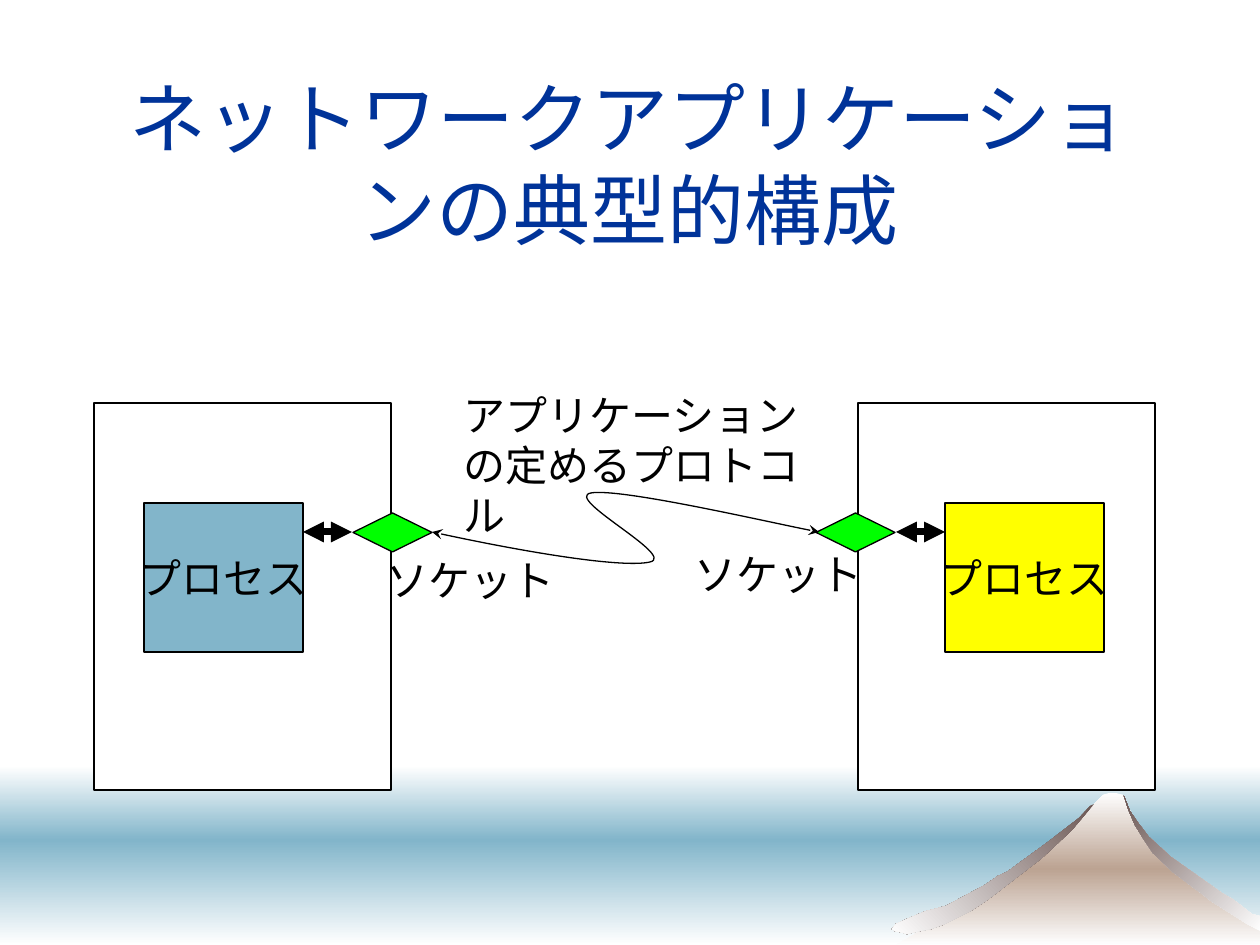
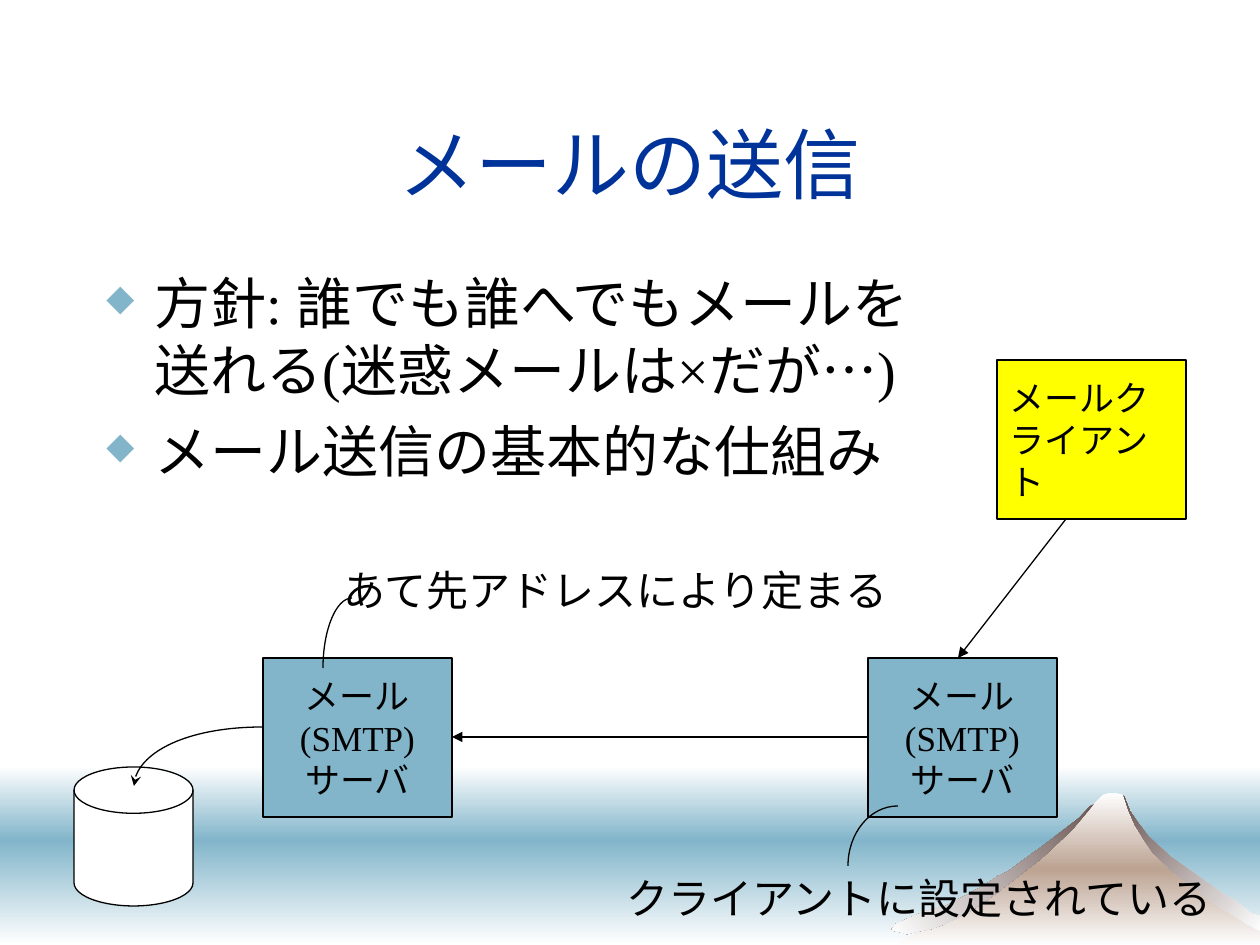
from lxml.etree import SubElement
from pptx import Presentation
from pptx.dml.color import RGBColor
from pptx.enum.shapes import MSO_CONNECTOR, MSO_SHAPE
from pptx.enum.text import MSO_ANCHOR, MSO_AUTO_SIZE, PP_ALIGN
from pptx.oxml.ns import qn
from pptx.util import Emu, Pt

# Shared measures, colours and fonts
WIDTH, HEIGHT = 1260, 945
SCALE = 914400 / 126
WHITE, BLACK, BLUE = "FFFFFF", "000000", "82B5CA"
YELLOW, GREEN, TITLE_BLUE = "FFFF00", "00FF00", "003399"
SNOW, EARTH, ROCK = "FEFEFE", "BCA392", "6B5653"
SANS, SERIF = "Arial", "Times New Roman"
THIN, THICK = 0.74, 4

# Outlines of the mountain
MOUNTAIN = [
    (896, 945), (995, 888), (1058, 839), (1095, 803), (1103, 795), (1109, 793),
    (1116, 793), (1123, 795), (1138, 828), (1162, 857), (1220, 897), (1260, 924),
    (1260, 945)]
RIGHT_FLANK = [
    (1153, 853), (1173, 872), (1194, 888), (1201, 893), (1211, 901), (1247, 924),
    (1260, 931), (1260, 916), (1252, 914), (1234, 900), (1222, 893), (1171, 857),
    (1149, 837), (1139, 824), (1130, 811), (1124, 796), (1129, 811), (1135, 825),
    (1143, 838)]
LEFT_FLANK = [
    (1048, 842), (1007, 872), (998, 876), (985, 885), (946, 906), (926, 911),
    (907, 919), (896, 924), (892, 929), (895, 931), (900, 932), (907, 934),
    (920, 931), (931, 929), (945, 924), (969, 912), (983, 903), (990, 898),
    (1042, 858), (1072, 830), (1089, 810), (1094, 804), (1090, 806), (1079, 818)]


def px(length):
    return Emu(round(length * SCALE))


def color(value):
    return RGBColor.from_string(value)


# Fills, outlines and arrowheads
def set_gradient(shape, colors, angle):
    shape.fill.background()
    properties = shape._element.spPr
    placeholder_fill = properties.find(qn("a:noFill"))
    gradient = SubElement(properties, qn("a:gradFill"), rotWithShape="1")
    stops = SubElement(gradient, qn("a:gsLst"))
    for index, value in enumerate(colors):
        position = 100000 * index // (len(colors) - 1)
        stop = SubElement(stops, qn("a:gs"), pos=str(position))
        SubElement(stop, qn("a:srgbClr"), val=value)
    SubElement(gradient, qn("a:lin"), ang=str(angle * 60000), scaled="0")
    properties.replace(placeholder_fill, gradient)


def set_line(shape, width=THIN, head=None, tail=None):
    shape.line.color.rgb = color(BLACK)
    shape.line.width = Pt(width)
    line = shape._element.spPr.find(qn("a:ln"))
    for tag, kind in (("a:headEnd", head), ("a:tailEnd", tail)):
        if kind:
            SubElement(line, qn(tag), type=kind)


# Text
def add_run(paragraph, text, size, font=SANS, value=BLACK):
    run = paragraph.add_run()
    run.text = text
    run.font.size = Pt(size)
    run.font.name = font
    run.font.color.rgb = color(value)


def add_text_box(slide, box, wrap=True):
    frame = slide.shapes.add_textbox(*map(px, box)).text_frame
    frame.word_wrap = wrap
    return frame


def add_title(slide, text):
    frame = add_text_box(slide, (94, 84, 1071, 158))
    frame.vertical_anchor = MSO_ANCHOR.MIDDLE
    paragraph = frame.paragraphs[0]
    paragraph.alignment = PP_ALIGN.CENTER
    add_run(paragraph, text, 44, SERIF, TITLE_BLUE)


def add_label(slide, text, box, wrap=False):
    frame = add_text_box(slide, box, wrap)
    frame.auto_size = MSO_AUTO_SIZE.SHAPE_TO_FIT_TEXT
    add_run(frame.paragraphs[0], text, 24)


def add_bullets(slide, texts, box):
    frame = add_text_box(slide, box)
    for index, text in enumerate(texts):
        paragraph = frame.add_paragraph() if index else frame.paragraphs[0]
        paragraph.space_before = Pt(8)
        properties = paragraph._p.get_or_add_pPr()
        properties.set("marL", str(px(48)))
        properties.set("indent", str(px(-48)))
        bullet_color = SubElement(properties, qn("a:buClr"))
        SubElement(bullet_color, qn("a:srgbClr"), val=BLUE)
        SubElement(properties, qn("a:buSzPct"), val="65000")
        SubElement(properties, qn("a:buChar"), char="◆")
        add_run(paragraph, text, 32, SERIF)


# Shapes
def add_plain_shape(slide, kind, box):
    shape = slide.shapes.add_shape(kind, *map(px, box))
    shape.shadow.inherit = False
    return shape


def add_box(slide, box, fill, kind=MSO_SHAPE.RECTANGLE):
    shape = add_plain_shape(slide, kind, box)
    shape.fill.solid()
    shape.fill.fore_color.rgb = color(fill)
    set_line(shape)
    return shape


def add_text_shape(slide, box, fill, runs, size, align=PP_ALIGN.CENTER, wrap=True):
    frame = add_box(slide, box, fill).text_frame
    frame.word_wrap = wrap
    frame.vertical_anchor = MSO_ANCHOR.MIDDLE
    paragraph = frame.paragraphs[0]
    paragraph.alignment = align
    for text, font in runs:
        add_run(paragraph, text, size, font)


def add_outline(slide, points, close):
    builder = slide.shapes.build_freeform(*points[0], scale=SCALE)
    builder.add_line_segments(points[1:], close=close)
    shape = builder.convert_to_shape()
    shape.shadow.inherit = False
    return shape


def add_curve(slide, points, head=None, tail=None):
    """Draw cubic curves: a start, then two controls and an end for each."""
    shape = add_outline(slide, points, close=False)
    segments = list(shape._element.iter(qn("a:lnTo")))
    for first in range(0, len(segments), 3):
        curve = segments[first]
        cubic = curve.makeelement(qn("a:cubicBezTo"))
        curve.addprevious(cubic)
        for segment in segments[first:first + 3]:
            cubic.append(segment[0])
            segment.getparent().remove(segment)
    shape.fill.background()
    set_line(shape, head=head, tail=tail)


def add_quarter_arc(slide, start, end, tail=None):
    (left, top), (right, bottom) = start, end
    first_control = (round(left + 0.55 * (right - left)), top)
    second_control = (right, round(bottom - 0.55 * (bottom - top)))
    add_curve(slide, [start, first_control, second_control, end], tail=tail)


def add_arrow(slide, start, end, width=THIN, head=None):
    arrow = slide.shapes.add_connector(
        MSO_CONNECTOR.STRAIGHT, *map(px, start + end))
    set_line(arrow, width, head, "triangle")
    SubElement(arrow._element.spPr, qn("a:effectLst"))


# Scenery and title shared by both slides
def add_scenery(slide):
    for top, bottom, colors in ((766, 840, (WHITE, BLUE)),
                                (840, HEIGHT, (BLUE, WHITE))):
        band = add_plain_shape(
            slide, MSO_SHAPE.RECTANGLE, (0, top, WIDTH, bottom - top))
        set_gradient(band, colors, 90)
        band.line.fill.background()
    for points, colors, angle in ((MOUNTAIN, (SNOW, EARTH, SNOW), 90),
                                  (RIGHT_FLANK, (SNOW, ROCK), 225),
                                  (LEFT_FLANK, (ROCK, SNOW), 135)):
        outline = add_outline(slide, points, close=True)
        set_gradient(outline, colors, angle)
        outline.line.fill.background()


def add_slide(presentation, title):
    slide = presentation.slides.add_slide(presentation.slide_layouts[6])
    add_scenery(slide)
    add_title(slide, title)
    return slide


# Slide 1: two hosts talking through sockets
def add_host(slide, host_left, process_left, fill, socket_left, arrow_left, label_at):
    add_box(slide, (host_left, 403, 297, 387), WHITE)
    add_text_shape(slide, (process_left, 503, 159, 149), fill,
                   [("プロセス", SANS)], 24, wrap=False)
    add_arrow(slide, (arrow_left, 532), (arrow_left + 49, 532), THICK, "triangle")
    add_box(slide, (socket_left, 513, 79, 39), GREEN, MSO_SHAPE.DIAMOND)
    add_label(slide, "ソケット", label_at + (193, 63))


def build_network_slide(presentation):
    slide = add_slide(presentation, "ネットワークアプリケーションの典型的構成")
    add_host(slide, 94, 144, BLUE, 353, 303, (374, 548))
    add_host(slide, 858, 945, YELLOW, 816, 896, (682, 542))
    add_curve(slide, [(819, 532), (781, 525), (620, 488), (591, 493),
                      (563, 498), (677, 556), (650, 562),
                      (624, 568), (528, 553), (432, 532)], "stealth", "stealth")
    add_label(slide, "アプリケーションの定めるプロトコル", (451, 383, 367, 164), wrap=True)


# Slide 2: the way of a mail
def build_mail_slide(presentation):
    slide = add_slide(presentation, "メールの送信")
    add_bullets(slide, ["方針: 誰でも誰へでもメールを送れる(迷惑メールは×だが…)",
                        "メール送信の基本的な仕組み"], (94, 262, 873, 567))
    for left in (263, 868):
        add_text_shape(slide, (left, 658, 189, 159), BLUE,
                       [("メール", SANS), ("(SMTP)", SERIF), ("サーバ", SANS)], 20)
    add_text_shape(slide, (997, 360, 189, 159), YELLOW,
                   [("メール", SANS), ("クライアント", SERIF)], 20, PP_ALIGN.LEFT)
    add_box(slide, (74, 767, 119, 139), WHITE, MSO_SHAPE.FLOWCHART_MAGNETIC_DISK)
    add_arrow(slide, (1066, 519), (958, 658))
    add_arrow(slide, (868, 737), (452, 737))
    add_quarter_arc(slide, (263, 727), (134, 786), "stealth")
    add_label(slide, "クライアントに設定されている", (614, 866, 612, 63))
    add_label(slide, "あて先アドレスにより定まる", (331, 558, 571, 63))
    add_quarter_arc(slide, (898, 806), (848, 866))
    add_quarter_arc(slide, (352, 598), (323, 668))


def main():
    presentation = Presentation()
    presentation.slide_width = px(WIDTH)
    presentation.slide_height = px(HEIGHT)
    build_network_slide(presentation)
    build_mail_slide(presentation)
    presentation.save("out.pptx")


main()
